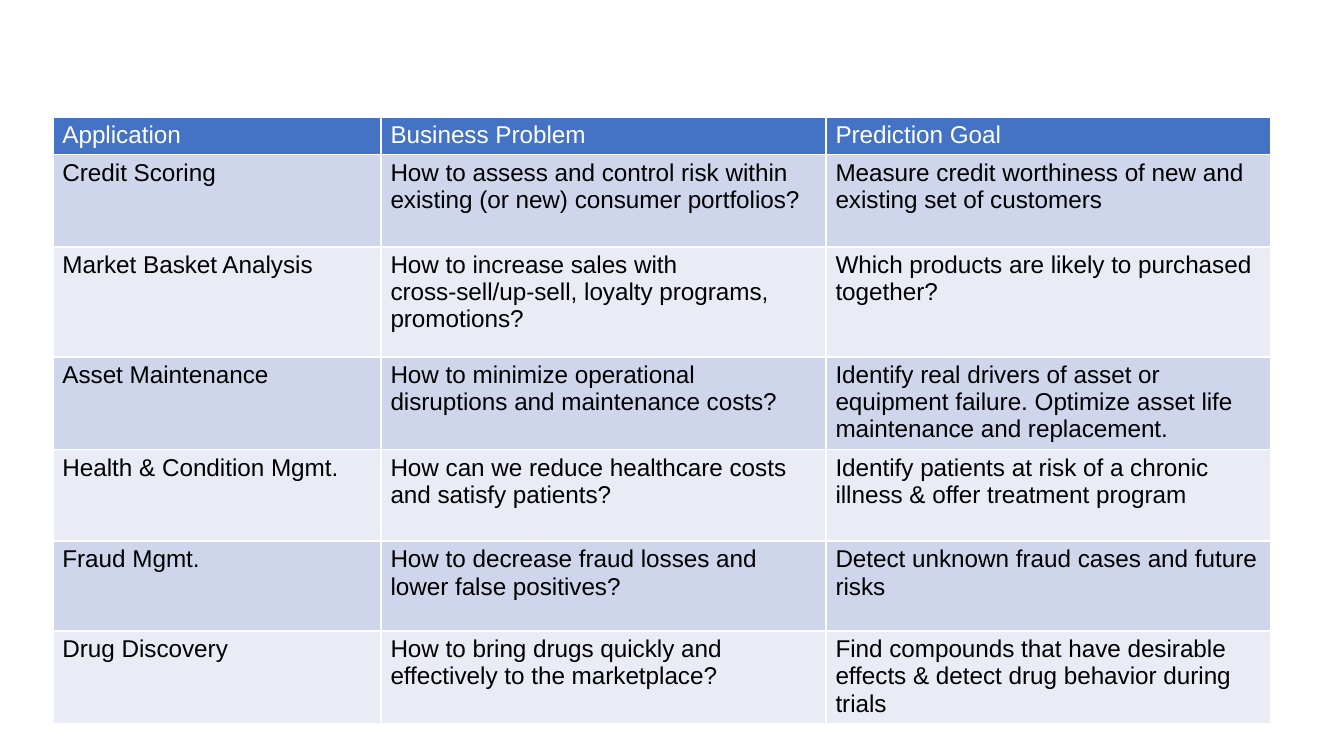
"""Build a slide with a table of predictive applications and their goals."""
from lxml import etree
from pptx import Presentation
from pptx import util as u
from pptx.dml.color import RGBColor
from pptx.oxml.ns import qn

WHITE = RGBColor(0xFF, 0xFF, 0xFF)
BLACK = RGBColor(0x00, 0x00, 0x00)
BLUE = RGBColor(0x44, 0x72, 0xC4)
BAND_DARK = RGBColor(0xCF, 0xD5, 0xEA)
BAND_LIGHT = RGBColor(0xE9, 0xEB, 0xF5)

COLUMN_WIDTHS = [6.2, 8.41, 8.41]
ROW_HEIGHTS = [0.71, 1.75, 2.08, 1.75, 1.73, 1.7, 1.75]
ROWS = [
    ("Application", "Business Problem", "Prediction Goal"),
    ("Credit Scoring",
     "How to assess and control risk within existing (or new) consumer portfolios?",
     "Measure credit worthiness of new and existing set of customers"),
    ("Market Basket Analysis",
     "How to increase sales with cross-sell/up-sell, loyalty programs, promotions?",
     "Which products are likely to purchased together?"),
    ("Asset Maintenance",
     "How to minimize operational disruptions and maintenance costs?",
     "Identify real drivers of asset or equipment failure. "
     "Optimize asset life maintenance and replacement."),
    ("Health & Condition Mgmt.",
     "How can we reduce healthcare costs and satisfy patients?",
     "Identify patients at risk of a chronic illness & offer treatment program"),
    ("Fraud Mgmt.",
     "How to decrease fraud losses and lower false positives?",
     "Detect unknown fraud cases and future risks"),
    ("Drug Discovery",
     "How to bring drugs quickly and effectively to the marketplace?",
     "Find compounds that have desirable effects & detect drug behavior during trials"),
]


def write_cell(cell, content, *, fill, color, size=13, font="Arial"):
    cell.margin_left = cell.margin_right = u.Cm(0.18)
    cell.margin_top = cell.margin_bottom = u.Cm(0.09)
    run = cell.text_frame.paragraphs[0].add_run()
    run.text = content
    run.font.name = font
    run.font.size = u.Pt(size)
    run.font.bold = False
    run.font.color.rgb = color
    properties = cell._tc.get_or_add_tcPr()
    for side in ("a:lnL", "a:lnR", "a:lnT", "a:lnB"):
        line = etree.SubElement(properties, qn(side), w=str(u.Pt(1)))
        solid = etree.SubElement(line, qn("a:solidFill"))
        etree.SubElement(solid, qn("a:srgbClr"), val=str(WHITE))
    cell.fill.solid()
    cell.fill.fore_color.rgb = fill


presentation = Presentation()
presentation.slide_width = u.Cm(25.4)
presentation.slide_height = u.Cm(14.29)
slide = presentation.slides.add_slide(presentation.slide_layouts[6])

table = slide.shapes.add_table(
    len(ROWS), len(COLUMN_WIDTHS), u.Cm(1), u.Cm(2.21),
    u.Cm(sum(COLUMN_WIDTHS)), u.Cm(sum(ROW_HEIGHTS))).table
for column, width in zip(table.columns, COLUMN_WIDTHS):
    column.width = u.Cm(width)

for index, (row, height, contents) in enumerate(zip(table.rows, ROW_HEIGHTS, ROWS)):
    row.height = u.Cm(height)
    if index == 0:
        fill, color = BLUE, WHITE
    else:
        fill, color = (BAND_DARK if index % 2 else BAND_LIGHT), BLACK
    for cell, content in zip(row.cells, contents):
        write_cell(cell, content, fill=fill, color=color)

presentation.save("out.pptx")
